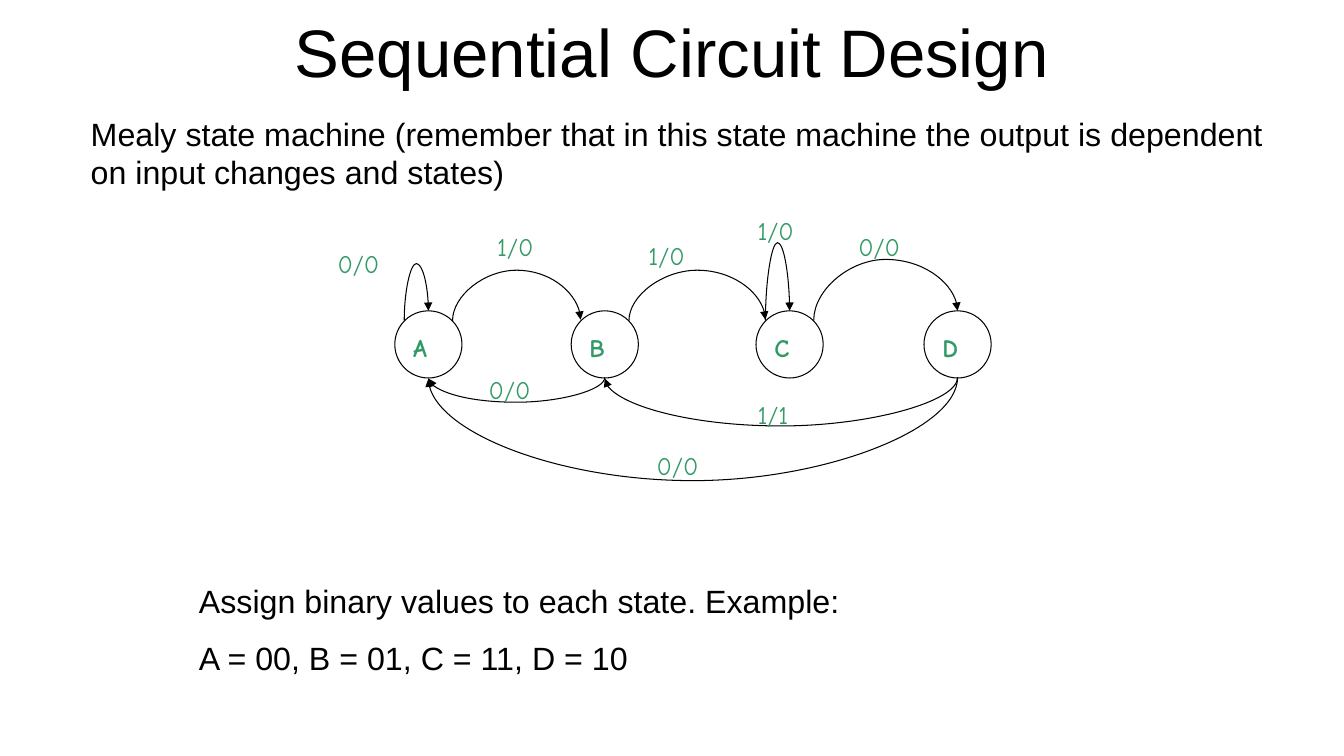
from lxml.etree import SubElement
from pptx import Presentation
from pptx.dml.color import RGBColor
from pptx.enum.shapes import MSO_CONNECTOR, MSO_SHAPE
from pptx.enum.text import MSO_ANCHOR, MSO_AUTO_SIZE as AUTO, PP_ALIGN
from pptx.oxml.ns import qn
from pptx.util import Emu, Pt

PX = 9525  # 96 px to the inch
BLACK = RGBColor(0x00, 0x00, 0x00)
GREEN = RGBColor(0x33, 0x99, 0x66)
LINE_WIDTH = Pt(0.75)

STATE_TOP, STATE_SIZE = 296, 64
STATE_BOTTOM = STATE_TOP + STATE_SIZE
CORNER = 9  # inset of the diagonal points of a state circle
STATES = {"A": 376, "B": 544, "C": 720, "D": 880}

# source state, target state, y of the far side of the curve
STEPS = [("A", "B", 256), ("B", "C", 256)]
LOOPS = [("A", "A", 251), ("C", "C", 231), ("C", "D", 247)]
RETURNS = [("D", "A", 460), ("D", "B", 407), ("B", "A", 384)]

# input/output label, left, top, width
LABELS = [
    ("0/0", 312, 232, 72),
    ("1/0", 464, 216, 64),
    ("1/0", 608, 224, 64),
    ("1/0", 712, 200, 64),
    ("0/0", 808, 216, 64),
    ("0/0", 616, 424, 80),
    ("1/1", 712, 376, 80),
    ("0/0", 456, 352, 80),
]


def px(n):
    return Emu(round(n * PX))


def add_text(s, lines, x, y, w, h, size, font="Arial", color=BLACK, bold=False):
    """Add a wrapping text box with one paragraph for each line."""
    tf = s.shapes.add_textbox(px(x), px(y), px(w), px(h)).text_frame
    tf.word_wrap = True
    tf.auto_size = AUTO.SHAPE_TO_FIT_TEXT
    for i, line in enumerate(lines):
        p = tf.add_paragraph() if i else tf.paragraphs[0]
        if i:
            p.space_before = Pt(13)
        r = p.add_run()
        r.text = line
        r.font.size = Pt(size)
        r.font.name = font
        r.font.bold = bold
        r.font.color.rgb = color
    return tf


def add_label(s, text, x, y, w, bold=False):
    add_text(s, [text], x, y, w, 38, 18, "Comic Neue", GREEN, bold)


def add_title(s, text):
    tf = add_text(s, [text], 208, 24, 864, 48, 48)
    tf.auto_size = AUTO.NONE
    tf.vertical_anchor = MSO_ANCHOR.MIDDLE
    tf.paragraphs[0].alignment = PP_ALIGN.CENTER


def add_state(s, name, x):
    sp = s.shapes.add_shape(MSO_SHAPE.OVAL, px(x), px(STATE_TOP),
                            px(STATE_SIZE), px(STATE_SIZE))
    sp.shadow.inherit = False
    sp.fill.background()
    sp.line.color.rgb = BLACK
    sp.line.width = LINE_WIDTH
    add_label(s, name, x + 8, 312, 56, bold=True)


def add_curve(s, x1, y1, x2, y2, far_y):
    """Add a U-shaped arrow: above when it runs right, below when it runs left.

    The connector lies on its side, so its box is turned a quarter."""
    rise, run = max(1, abs(y2 - y1)), abs(x2 - x1)
    cx, cy = (x1 + x2) / 2, (y1 + y2) / 2
    c = s.shapes.add_connector(MSO_CONNECTOR.CURVE,
                               px(cx - rise / 2), px(cy - run / 2),
                               px(cx + rise / 2), px(cy + run / 2))
    c.line.color.rgb = BLACK
    c.line.width = LINE_WIDTH
    spPr = c._element.spPr
    turn = 270 if x2 > x1 else 90
    spPr.find(qn("a:xfrm")).set("rot", str(turn * 60000))
    adjust = round(abs(far_y - y1) / rise * 100000)
    guides = spPr.find(qn("a:prstGeom")).find(qn("a:avLst"))
    SubElement(guides, qn("a:gd"), name="adj1", fmla=f"val {adjust}")
    SubElement(c.line._get_or_add_ln(), qn("a:tailEnd"), type="triangle")
    SubElement(spPr, qn("a:effectLst"))


def add_transitions(s):
    half = STATE_SIZE // 2
    corner_y = STATE_TOP + CORNER
    for source, target, far_y in STEPS:
        add_curve(s, STATES[source] + STATE_SIZE - CORNER, corner_y,
                  STATES[target] + CORNER, corner_y, far_y)
    for source, target, far_y in LOOPS:
        start = CORNER if source == target else STATE_SIZE - CORNER
        add_curve(s, STATES[source] + start, corner_y,
                  STATES[target] + half, STATE_TOP, far_y)
    for source, target, far_y in RETURNS:
        add_curve(s, STATES[source] + half, STATE_BOTTOM,
                  STATES[target] + half, STATE_BOTTOM, far_y)


def main():
    prs = Presentation()
    prs.slide_width, prs.slide_height = px(1280), px(720)
    s = prs.slides.add_slide(prs.slide_layouts[6])
    add_title(s, "Sequential Circuit Design")
    add_text(s, ["Mealy state machine (remember that in this state machine "
                 "the output is dependent on input changes and states)"],
             77, 104, 1153, 84, 23)
    for name, x in STATES.items():
        add_state(s, name, x)
    add_transitions(s)
    for label in LABELS:
        add_label(s, *label)
    add_text(s, ["Assign binary values to each state. Example:",
                 "A = 00, B = 01, C = 11, D = 10"], 180, 549, 872, 102, 23)
    prs.save("out.pptx")


if __name__ == "__main__":
    main()
